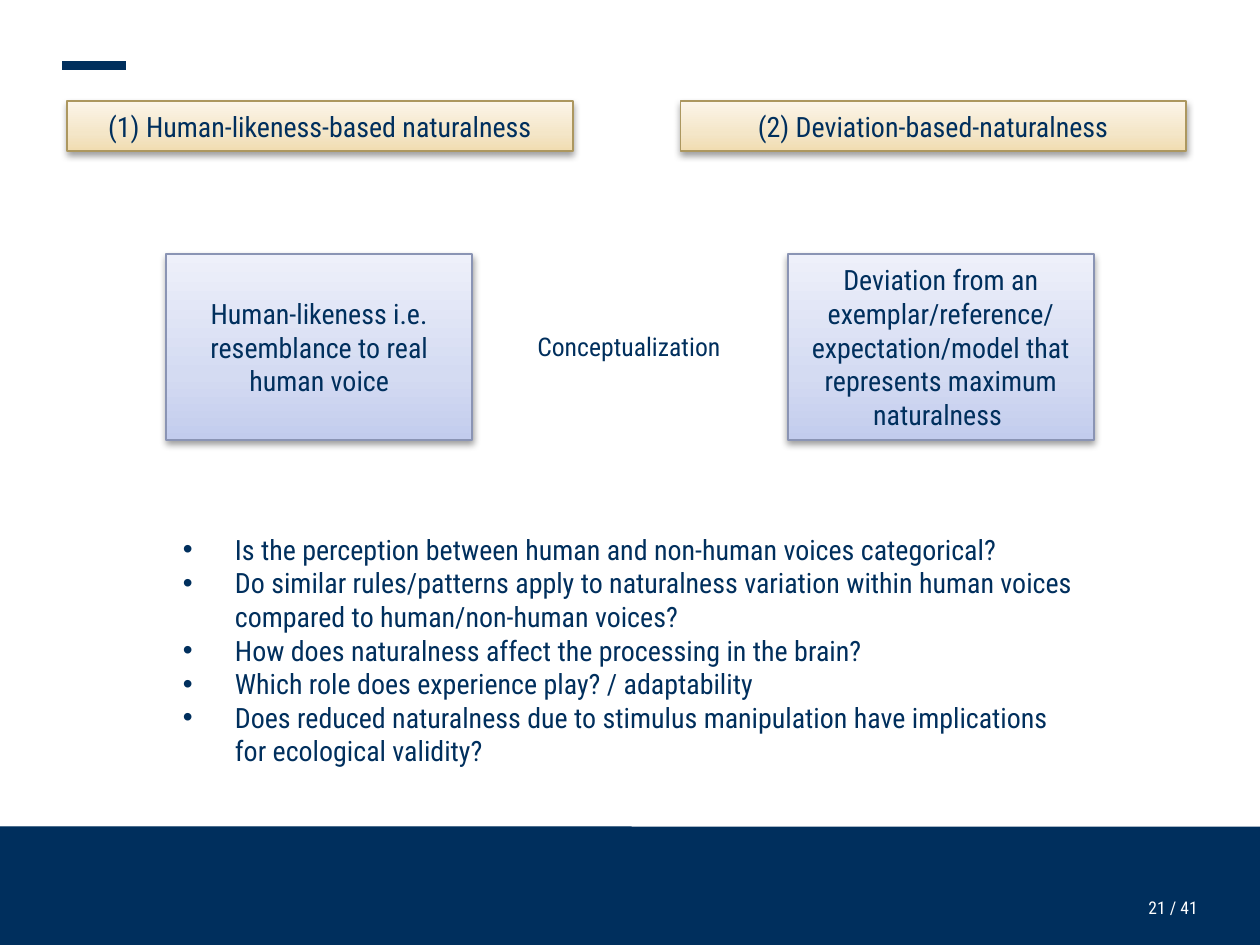
import copy

import pptx
import pptx.dml.color
import pptx.enum.shapes
import pptx.enum.text
import pptx.oxml
import pptx.oxml.ns
import pptx.util
from pptx.util import Inches

RGB = pptx.dml.color.RGBColor
Align = pptx.enum.text.PP_ALIGN
Anchor = pptx.enum.text.MSO_ANCHOR
qn = pptx.oxml.ns.qn

NAVY = RGB(0x00, 0x2F, 0x5D)
WHITE = RGB(0xFF, 0xFF, 0xFF)
GOLD = RGB(0xAC, 0x97, 0x5F)
SLATE = RGB(0x8A, 0x94, 0xB4)
SAND = [RGB(0xF1, 0xDC, 0xB0), RGB(0xF4, 0xE6, 0xC8), RGB(0xFC, 0xF5, 0xE9)]
SKY = [RGB(0xC2, 0xCC, 0xED), RGB(0xD4, 0xDB, 0xF2), RGB(0xEE, 0xF0, 0xFA)]
STOPS = [0, 0.35, 1]

NS = 'xmlns:a="http://schemas.openxmlformats.org/drawingml/2006/main"'
SHADOW = (f'<a:outerShdw {NS} blurRad="39370" dist="20320" dir="5400000" '
          'rotWithShape="0"><a:srgbClr val="000000"><a:alpha val="38000"/>'
          '</a:srgbClr></a:outerShdw>')


class Deck:
    def __init__(self, slide):
        self.slide = slide
        self.font = "Roboto Condensed"

    def style(self, frame, size, color, align):
        for para in frame.paragraphs:
            para.alignment = align
            for run in para.runs:
                run.font.name = self.font
                run.font.size = pptx.util.Pt(size)
                run.font.color.rgb = color

    def rect(self, x, y, w, h):
        shape = self.slide.shapes.add_shape(
            pptx.enum.shapes.MSO_SHAPE.RECTANGLE,
            Inches(x), Inches(y), Inches(w), Inches(h))
        shape.shadow.inherit = False
        return shape

    def band(self, x, y, w, h, alpha=100):
        shape = self.rect(x, y, w, h)
        shape.fill.solid()
        shape.fill.fore_color.rgb = NAVY
        shape.line.fill.background()
        if alpha < 100:
            color = shape._element.spPr.find(qn("a:solidFill"))[0]
            color.append(pptx.oxml.parse_xml(
                f'<a:alpha {NS} val="{alpha * 1000}"/>'))

    def box(self, x, y, w, h, text, colors, edge):
        shape = self.rect(x, y, w, h)
        # Three-stop gradient, lightest at the top
        shape.fill.gradient()
        shape.fill.gradient_angle = 90
        stops = shape._element.spPr.find(qn("a:gradFill")).find(qn("a:gsLst"))
        stops.insert(1, copy.deepcopy(stops[0]))
        for stop, place, color in zip(shape.fill.gradient_stops, STOPS, colors):
            stop.position = place
            stop.color.rgb = color
        shape.line.color.rgb = edge
        shape.line.width = pptx.util.Pt(0.75)
        effects = shape._element.spPr.find(qn("a:effectLst"))
        effects.append(pptx.oxml.parse_xml(SHADOW))
        frame = shape.text_frame
        frame.word_wrap = True
        frame.vertical_anchor = Anchor.MIDDLE
        frame.text = text
        self.style(frame, 12, NAVY, Align.CENTER)

    def text(self, x, y, w, h, text, size, color=NAVY, align=Align.LEFT,
             wrap=True):
        shape = self.slide.shapes.add_textbox(
            Inches(x), Inches(y), Inches(w), Inches(h))
        frame = shape.text_frame
        frame.word_wrap = wrap
        frame.text = text
        self.style(frame, size, color, align)
        return frame

    def bullets(self, x, y, w, h, items, size):
        frame = self.text(x, y, w, h, "\n".join(items), size)
        indent = Inches(0.31)
        for para in frame.paragraphs:
            props = para._p.get_or_add_pPr()
            props.set("marL", str(indent))
            props.set("indent", str(-indent))
            props.append(pptx.oxml.parse_xml(
                f'<a:buFont {NS} typeface="Arial"/>'))
            props.append(pptx.oxml.parse_xml(f'<a:buChar {NS} char="•"/>'))

    def line(self, x1, y1, x2, y2, width):
        line = self.slide.shapes.add_connector(
            pptx.enum.shapes.MSO_CONNECTOR.STRAIGHT,
            Inches(x1), Inches(y1), Inches(x2), Inches(y2))
        line.line.color.rgb = NAVY
        line.line.width = pptx.util.Pt(width)
        line._element.spPr.append(
            pptx.oxml.parse_xml(f'<a:effectLst {NS}/>'))


def main():
    # Slide in 4:3 format
    prs = pptx.Presentation()
    prs.slide_width = Inches(7.5)
    prs.slide_height = prs.slide_width * 3 // 4
    deck = Deck(prs.slides.add_slide(prs.slide_layouts[6]))

    # Footer with page number
    deck.band(0, 4.92, 7.5, 0.71)
    deck.band(0, 4.92, 3.76, 0.04, alpha=80)
    page = deck.text(2.89, 5.34, 4.24, 0.17, "21 / 41", 7.5, WHITE,
                     Align.RIGHT)
    page.margin_left = page.margin_right = 0
    page.margin_top = page.margin_bottom = 0

    # Accent line
    deck.line(0.37, 0.39, 0.75, 0.39, 3.5)

    # The two kinds of naturalness
    heads = [(0.4, "(1) Human-likeness-based naturalness"),
             (4.05, "(2) Deviation-based-naturalness")]
    for x, text in heads:
        deck.box(x, 0.6, 3.01, 0.3, text, SAND, GOLD)

    # How each one is conceptualized
    ideas = [(0.99, "Human-likeness i.e. resemblance to real human voice"),
             (4.69, "Deviation from an exemplar/reference/ expectation/model "
                    "that represents maximum naturalness ")]
    for x, text in ideas:
        deck.box(x, 1.51, 1.82, 1.11, text, SKY, SLATE)
    deck.text(3.1, 1.92, 1.3, 0.29, "Conceptualization", 11, wrap=False)

    # Open questions
    deck.bullets(0.99, 3.12, 5.52, 1.51, [
        "Is the perception between human and non-human voices categorical?",
        "Do similar rules/patterns apply to naturalness variation within "
        "human voices compared to human/non-human voices?",
        "How does naturalness affect the processing in the brain?",
        "Which role does experience play? / adaptability",
        "Does reduced naturalness due to stimulus manipulation have "
        "implications for ecological validity?",
    ], 12)

    prs.save("out.pptx")


if __name__ == "__main__":
    main()
